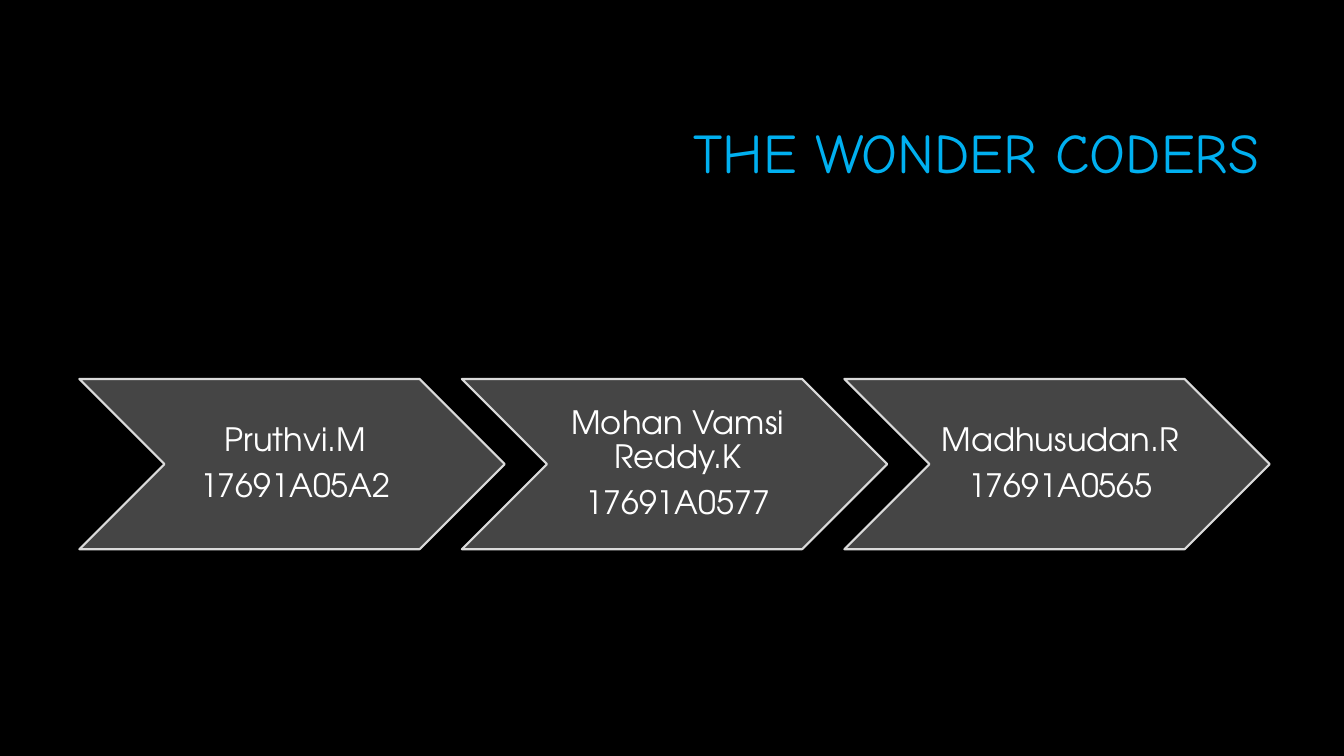
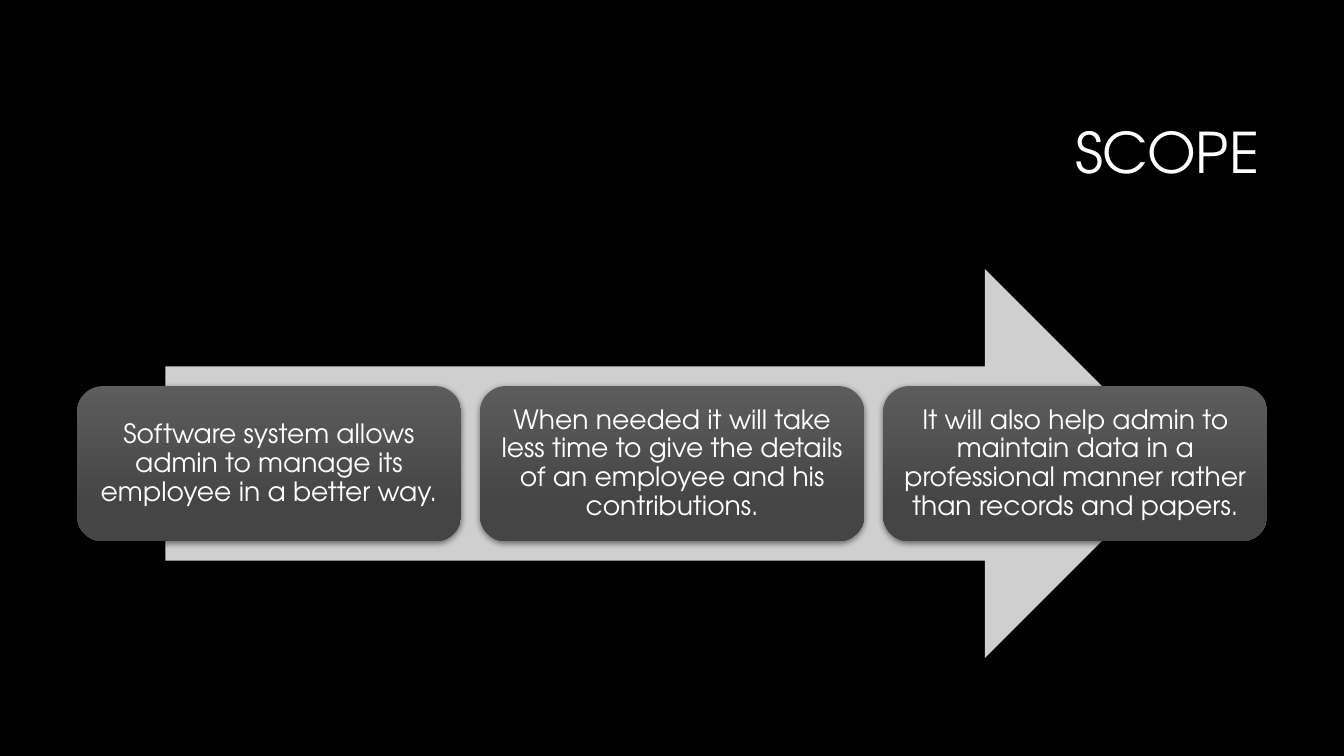
"""Build two dark slides: a team row and a scope arrow."""
from lxml import etree
from pptx import Presentation
from pptx.dml.color import RGBColor
from pptx.enum import shapes, text
from pptx.oxml import ns
from pptx.util import Cm, Pt

BLACK = RGBColor(0x00, 0x00, 0x00)
WHITE = RGBColor(0xFF, 0xFF, 0xFF)
BLUE = RGBColor(0x00, 0xB0, 0xF0)
DARK_GREY = RGBColor(0x45, 0x45, 0x45)
MID_GREY = RGBColor(0x5C, 0x5C, 0x5C)
OUTLINE_GREY = RGBColor(0xDA, 0xDA, 0xDA)
ARROW_GREY = RGBColor(0xCF, 0xCF, 0xCF)

BODY_FONT = "TeX Gyre Adventor"
TEAM_FONT = "Comic Neue"

MEMBERS = [
    "Pruthvi.M\n17691A05A2",
    "Mohan Vamsi Reddy.K\n17691A0577",
    "Madhusudan.R\n17691A0565",
]
SCOPE_POINTS = [
    "Software system allows admin to manage its employee in a better way.",
    "When needed it will take less time to give the details of an employee and his contributions.",
    "It will also help admin to maintain data in a professional manner rather than records and papers.",
]


def write_text(shape, content, size, align, font=BODY_FONT, color=WHITE):
    frame = shape.text_frame
    frame.word_wrap = True
    frame.vertical_anchor = text.MSO_ANCHOR.MIDDLE
    frame.text = content
    for para in frame.paragraphs:
        para.alignment = align
        para.line_spacing = 0.9
        for span in para.runs:
            span.font.name = font
            span.font.size = Pt(size)
            span.font.color.rgb = color
    for para in frame.paragraphs[:-1]:
        para.space_after = Pt(size * 0.35)


def set_insets(shape, left, others):
    frame = shape.text_frame
    frame.margin_left = Cm(left)
    frame.margin_top = frame.margin_right = frame.margin_bottom = Cm(others)


def add_title(page, content, font=BODY_FONT, color=WHITE):
    box = page.shapes.add_textbox(Cm(8.05), Cm(2.13), Cm(23.93), Cm(3.58))
    write_text(box, content, 40, text.PP_ALIGN.RIGHT, font, color)


def add_plain_shape(page, preset, left, top, width, height):
    shape = page.shapes.add_shape(preset, Cm(left), Cm(top), Cm(width), Cm(height))
    shape.shadow.inherit = False
    shape.line.fill.background()
    return shape


def add_soft_shadow(shape):
    effects = shape._element.spPr.find(ns.qn("a:effectLst"))
    shadow = etree.SubElement(effects, ns.qn("a:outerShdw"), blurRad=str(Pt(4.5)),
                              dist=str(Pt(1.5)), dir="5400000", rotWithShape="0")
    color = etree.SubElement(shadow, ns.qn("a:srgbClr"), val=str(BLACK))
    etree.SubElement(color, ns.qn("a:alpha"), val="48000")


def add_chevron(page, left, content):
    chevron = add_plain_shape(page, shapes.MSO_SHAPE.CHEVRON, left, 9.55, 10.72, 4.29)
    chevron.fill.solid()
    chevron.fill.fore_color.rgb = DARK_GREY
    chevron.line.color.rgb = OUTLINE_GREY
    chevron.line.width = Pt(1.5)
    set_insets(chevron, 0.25, 0.08)
    write_text(chevron, content, 23, text.PP_ALIGN.CENTER)


def add_card(page, left, content):
    card = add_plain_shape(page, shapes.MSO_SHAPE.ROUNDED_RECTANGLE, left, 9.73, 9.68, 3.91)
    card.fill.gradient()
    card.fill.gradient_angle = 270
    for stop, position, color in zip(card.fill.gradient_stops, (0, 0.78), (MID_GREY, DARK_GREY)):
        stop.position = position
        stop.color.rgb = color
    add_soft_shadow(card)
    set_insets(card, 0.2, 0.2)
    write_text(card, content, 19, text.PP_ALIGN.CENTER)


def add_row(page, add_item, left, pitch, contents):
    for index, content in enumerate(contents):
        add_item(page, left + index * pitch, content)


def add_scope_arrow(page):
    arrow = add_plain_shape(page, shapes.MSO_SHAPE.RIGHT_ARROW, 4.17, 6.78, 25.55, 9.8)
    arrow.fill.solid()
    arrow.fill.fore_color.rgb = ARROW_GREY


def main():
    deck = Presentation()
    deck.slide_width, deck.slide_height = Cm(33.87), Cm(19.05)
    backdrop = deck.slide_master.background.fill
    backdrop.solid()
    backdrop.fore_color.rgb = BLACK
    blank = deck.slide_layouts[6]

    team = deck.slides.add_slide(blank)
    add_title(team, "THE WONDER CODERS", TEAM_FONT, BLUE)
    add_row(team, add_chevron, 2, 9.64, MEMBERS)

    scope = deck.slides.add_slide(blank)
    add_title(scope, "SCOPE")
    add_scope_arrow(scope)
    add_row(scope, add_card, 1.94, 10.16, SCOPE_POINTS)

    deck.save("out.pptx")


if __name__ == "__main__":
    main()
